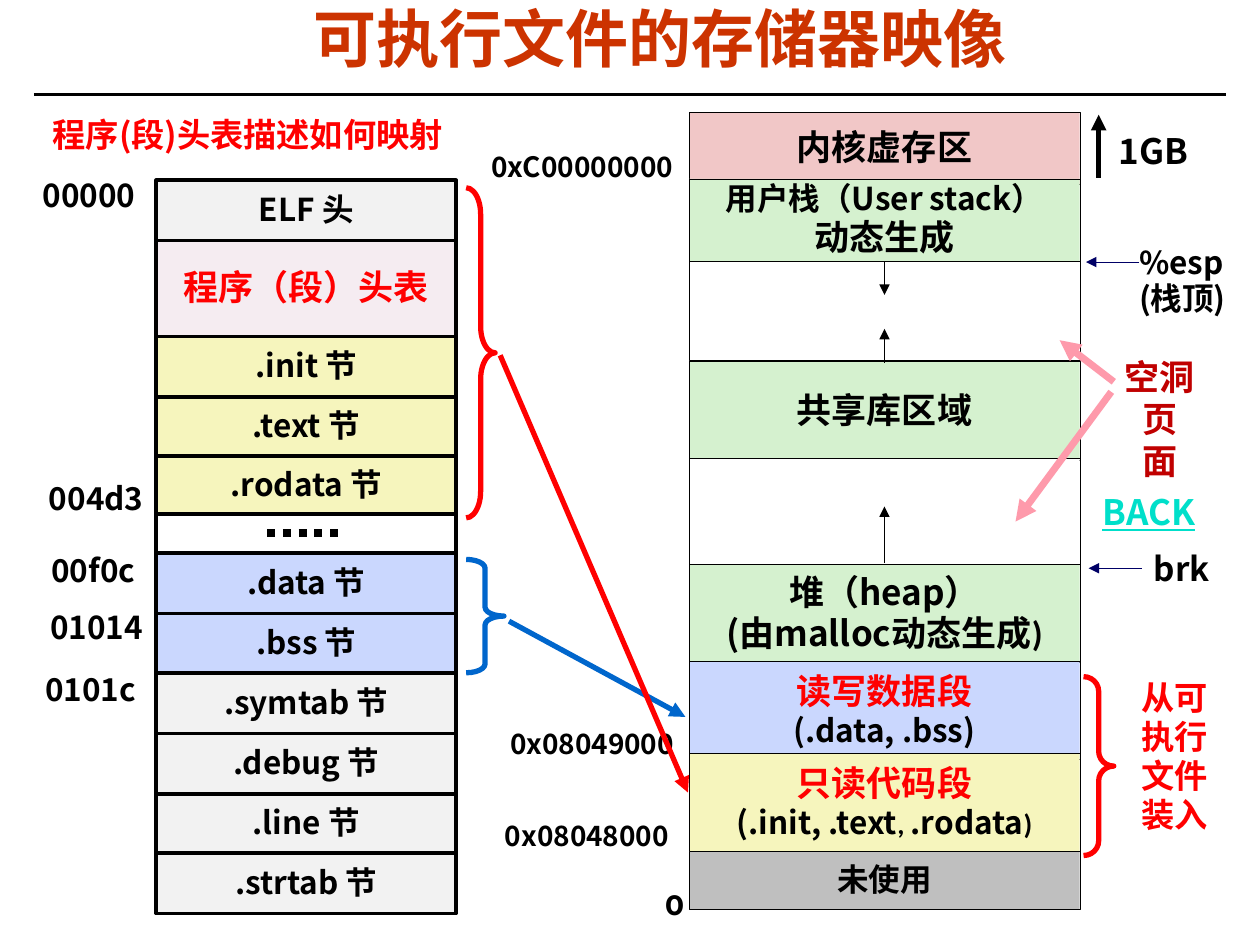
from pptx import Presentation
from pptx.dml.color import RGBColor
from pptx.enum.dml import MSO_LINE
from pptx.enum.shapes import MSO_CONNECTOR, MSO_SHAPE
from pptx.enum.text import MSO_ANCHOR, MSO_AUTO_SIZE, PP_ALIGN
from pptx.oxml.ns import qn
from pptx.util import Pt
from lxml import etree

PX = 9144  # 100 px to the inch
CENTER, LEFT = PP_ALIGN.CENTER, PP_ALIGN.LEFT
MIDDLE, TOP = MSO_ANCHOR.MIDDLE, MSO_ANCHOR.TOP
FIT_SHAPE = MSO_AUTO_SIZE.SHAPE_TO_FIT_TEXT
RECTANGLE, BRACE = MSO_SHAPE.RECTANGLE, MSO_SHAPE.RIGHT_BRACE
STRAIGHT, DOTTED = MSO_CONNECTOR.STRAIGHT, MSO_LINE.ROUND_DOT

THEME = {
    "sans": "Noto Sans CJK SC", "calibri": "Calibri", "zero": "Montserrat", "title_font": "Arial",
    "title": "CC3300", "black": "000000", "red": "FF0000", "white": "FFFFFF",
    "grey": "F2F2F2", "plum": "993366", "yellow": "F6F5BD", "blue": "CAD7FE",
    "green": "D5F1CF", "pink": "F1C7C7", "unused": "BFBFBF", "navy": "000066",
    "data_line": "0066CC", "hole_line": "FE9AAB", "hole": "C00000", "link": "00DFCA",
    "title_size": 36, "large": 20, "medium": 19, "normal": 18, "small": 16,
}

TITLE = "可执行文件的存储器映像"

# Runs are (text, size, colour, font); the last two may be left out.
FILE_LEFT, FILE_TOP, FILE_WIDTH = 124, 143, 238
FILE_SECTIONS = [  # label, size, colour, fill, height
    ("ELF 头", "normal", "black", "grey", 48),
    ("程序（段）头表", "large", "red", "plum", 76),
    (".init 节", "normal", "black", "yellow", 48),
    (".text 节", "normal", "black", "yellow", 47),
    (".rodata 节", "normal", "black", "yellow", 46),
    ("", "normal", "black", "white", 31),
    (".data 节", "normal", "black", "blue", 48),
    (".bss 节", "normal", "black", "blue", 47),
    (".symtab 节", "normal", "black", "grey", 48),
    (".debug 节", "normal", "black", "grey", 48),
    (".line 节", "normal", "black", "grey", 47),
    (".strtab 节", "normal", "black", "grey", 48),
]
PLUM_ALPHA = 9000

MEMORY_LEFT, MEMORY_WIDTH = 547, 310
MEMORY_REGIONS = [  # top, height, fill, paragraphs; later regions overlap earlier ones
    (89, 57, "pink", [[("内核虚存区", "large")]]),
    (207, 79, "white", []),
    (287, 78, "green", [[("共享库区域", "large")]]),
    (364, 84, "white", []),
    (448, 78, "green", [[("堆（heap）", "large")],
                        [("(由malloc动态生成", "large"), (")", "large", "black", "calibri")]]),
    (142, 65, "green", [[("用户栈（User stack）", "normal")],
                        [("动态生成", "large", "black", "calibri")]]),
    (676, 46, "unused", [[("未使用", "normal")]]),
    (525, 78, "blue", [[("读写数据段", "large", "red")], [("(.data, .bss)", "normal")]]),
    (598, 78, "yellow", [[("只读代码段", "large", "red")],
                         [("(.init, .text", "normal"), (", ", "small", "black", "calibri"),
                          (".rodata", "normal"), (")", "small", "black", "calibri")]]),
]

LABELS = [  # box, run, line spacing, wraps
    ((32, 86, 357, 42), ("程序(段)头表描述如何映射", "medium", "red"), 1, True),
    ((24, 136, 105, 40), ("00000", "normal"), 0.98, True),
    ((29, 377, 102, 40), ("004d3", "normal"), 0.98, True),
    ((31, 434, 102, 40), ("00f0c", "normal"), 0.98, True),
    ((30, 479, 102, 40), ("01014", "normal"), 0.98, True),
    ((26, 528, 102, 40), ("0101c", "normal"), 0.98, True),
    ((380, 116, 171, 35), ("0xC00000000", "small"), 0.94, False),
    ((395, 574, 156, 35), ("0x08049000", "small"), 0.94, False),
    ((391, 647, 156, 35), ("0x08048000", "small"), 0.94, False),
    ((518, 701, 35, 36), ("0", "small", "black", "zero"), 0.98, False),
    ((878, 98, 92, 43), ("1GB", "large"), 1, True),
    ((906, 433, 64, 40), ("brk", "medium"), 0.94, False),
    ((896, 534, 82, 134), ("从可执行文件装入", "medium", "red", "calibri"), 0.98, True),
]
STACK_POINTER = ((904, 190, 80, 68), [[("%esp", "normal")], [("(栈顶)", "normal")]])
HOLE_PAGES = ((881, 277, 79, 77), [[(line, "large", "hole")] for line in ("空洞", "页", "面")])
BACK = ((865, 384, 103, 43), [[("BACK", "large", "link")]])

BRACES = [  # box, curve, colour
    ((370, 149, 23, 262), 0.915, "red"),
    ((370, 444, 30, 90), 0.234, "data_line"),
    ((860, 537, 24, 142), 0.486, "red"),
]
ARROWS = [  # from, to, colour, width
    ((904, 208), (862, 208), "navy", 0.25),
    ((906, 451), (864, 451), "navy", 0.25),
    ((872, 141), (872, 91), "black", 3),
    ((702, 208), (702, 234), "black", 0.25),
    ((702, 288), (702, 261), "black", 0.25),
    ((702, 447), (702, 402), "black", 0.25),
    ((404, 493), (544, 569), "data_line", 3),
    ((397, 282), (546, 629), "red", 3),
    ((884, 303), (841, 270), "hole_line", 4),
    ((882, 311), (806, 414), "hole_line", 4),
]


def color(name):
    return RGBColor.from_string(THEME[name])


def emu(box):
    return [value * PX for value in box]


def write(frame, paragraphs, align=LEFT, spacing=0.98, anchor=TOP, wrap=True):
    frame.word_wrap, frame.vertical_anchor = wrap, anchor
    for index, runs in enumerate(paragraphs):
        paragraph = frame.paragraphs[0] if index == 0 else frame.add_paragraph()
        paragraph.alignment, paragraph.line_spacing = align, spacing
        for text, size, *style in runs:
            ink, face = (style + ["black", "sans"][len(style):])
            run = paragraph.add_run()
            run.text = text
            font = run.font
            font.size, font.bold, font.name = Pt(THEME[size]), True, THEME[face]
            font.color.rgb = color(ink)
            east_asian = etree.SubElement(font._element, qn("a:ea"))
            east_asian.set("typeface", THEME["sans"])


def add_label(slide, box, paragraphs, **layout):
    label = slide.shapes.add_textbox(*emu(box))
    write(label.text_frame, paragraphs, **layout)
    label.text_frame.auto_size = FIT_SHAPE
    return label


def add_block(slide, box, fill, line_width, paragraphs):
    block = slide.shapes.add_shape(RECTANGLE, *emu(box))
    block.shadow.inherit = False
    block.fill.solid()
    block.fill.fore_color.rgb = color(fill)
    block.line.color.rgb, block.line.width = color("black"), Pt(line_width)
    write(block.text_frame, paragraphs, align=CENTER, anchor=MIDDLE, wrap=False)
    return block


def add_line(slide, start, end, ink, width, arrow=False):
    line = slide.shapes.add_connector(STRAIGHT, *emu(start + end))
    line.line.color.rgb, line.line.width = color(ink), Pt(width)
    if arrow:
        etree.SubElement(line.line._get_or_add_ln(), qn("a:tailEnd")).set("type", "triangle")
    etree.SubElement(line._element.spPr, qn("a:effectLst"))
    return line


def add_file_sections(slide):
    top = FILE_TOP
    for label, size, ink, fill, height in FILE_SECTIONS:
        block = add_block(slide, (FILE_LEFT, top, FILE_WIDTH, height), fill, 2,
                          [[(label, size, ink)]] if label else [])
        if fill == "plum":
            tint = block._element.spPr.find(qn("a:solidFill"))[0]
            etree.SubElement(tint, qn("a:alpha")).set("val", str(PLUM_ALPHA))
        if not label:
            middle = top + height // 2
            dots = add_line(slide, (212, middle), (273, middle), "black", 4.5)
            dots.line.dash_style = DOTTED
        top += height


def main():
    deck = Presentation()
    deck.slide_width, deck.slide_height = emu((1000, 750))
    slide = deck.slides.add_slide(deck.slide_layouts[5])
    title = slide.shapes.title
    title.left, title.top, title.width, title.height = emu((47, 0, 953, 68))
    write(title.text_frame, [[(TITLE, "title_size", "title", "title_font")]],
          align=CENTER, spacing=0.87, anchor=MIDDLE)
    add_line(slide, (27, 75), (973, 75), "black", 1.5)

    for top, height, fill, paragraphs in MEMORY_REGIONS:
        add_block(slide, (MEMORY_LEFT, top, MEMORY_WIDTH, height), fill, 0.25, paragraphs)
    add_file_sections(slide)
    for box, curve, ink in BRACES:
        brace = slide.shapes.add_shape(BRACE, *emu(box))
        brace.shadow.inherit = False
        brace.fill.background()
        brace.adjustments[0] = curve
        brace.line.color.rgb, brace.line.width = color(ink), Pt(3)

    for box, run, spacing, wrap in LABELS:
        add_label(slide, box, [[run]], spacing=spacing, wrap=wrap)
    pointer = add_label(slide, *STACK_POINTER, spacing=0.96)
    pointer.text_frame.margin_left = pointer.text_frame.margin_right = 0
    add_label(slide, *HOLE_PAGES, align=CENTER, spacing=1)
    back = add_label(slide, *BACK, spacing=1)
    back.text_frame.paragraphs[0].runs[0].font.underline = True
    for start, end, ink, width in ARROWS:
        add_line(slide, start, end, ink, width, arrow=True)
    deck.save("out.pptx")


if __name__ == "__main__":
    main()
